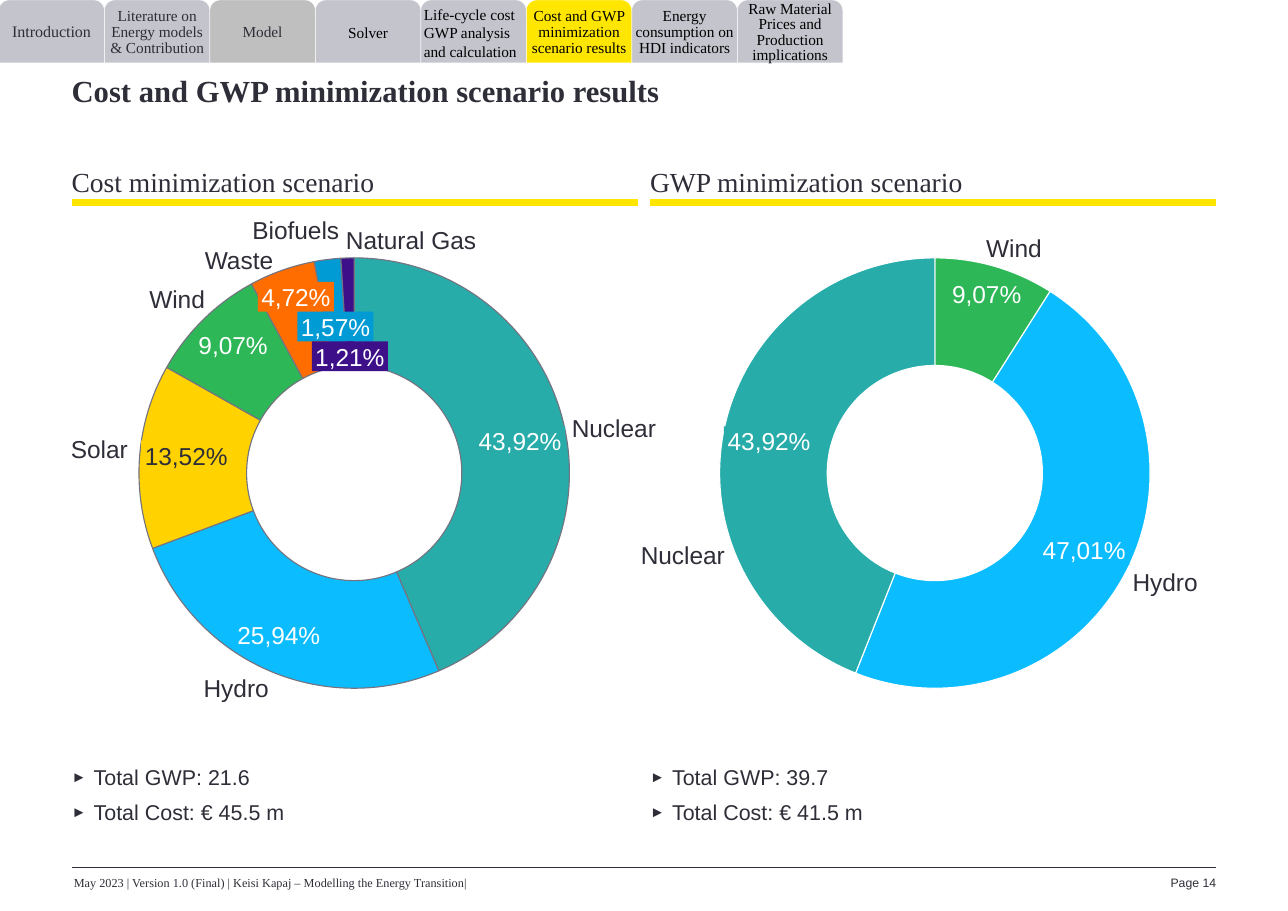
import pptx
import pptx.chart.data
import pptx.dml.color
import pptx.enum.chart
import pptx.enum.shapes
import pptx.enum.text
import pptx.oxml
import pptx.oxml.ns
import pptx.util

Inches, Pt = pptx.util.Inches, pptx.util.Pt
ALIGN = pptx.enum.text.PP_ALIGN
ANCHOR = pptx.enum.text.MSO_ANCHOR
SHAPE = pptx.enum.shapes.MSO_SHAPE

COLORS = {
    "ink": "2E2E38", "black": "000000", "white": "FFFFFF", "outline": "747480",
    "tab": "C4C4CD", "model": "BFBFBF", "yellow": "FFE600", "teal": "27ACAA",
    "sky": "0BBCFF", "gold": "FFD200", "green": "2DB757", "orange": "FF6D00",
    "blue": "009AD5", "purple": "3D108A",
}
SERIF, SANS = "Times New Roman", "Arial"

# Navigation tabs: text, fill, text colour, size, alignment, line spacing
TABS = [
    ("Introduction", "tab", "ink", 10.5, ALIGN.CENTER, 0.85),
    ("Literature on Energy models & Contribution", "tab", "ink", 10, ALIGN.CENTER, 0.85),
    ("Model", "model", "ink", 10, ALIGN.CENTER, 0.85),
    ("Solver", "tab", "black", 10, ALIGN.CENTER, 1.0),
    ("Life-cycle cost GWP analysis and calculation", "tab", "black", 10, ALIGN.LEFT, 1.0),
    ("Cost and GWP minimization scenario results", "yellow", "black", 10, ALIGN.CENTER, 0.85),
    ("Energy consumption on HDI indicators", "tab", "black", 10, ALIGN.CENTER, 0.85),
    ("Raw Material Prices and Production implications", "tab", "black", 10, ALIGN.CENTER, 0.85),
]
TABS_LEFT, TABS_RIGHT, TAB_HEIGHT = -0.01, 7.65, 0.57

# Slices: category number, name, percent, colour, name box (left, top, width),
# name alignment, percent box (left, top), percent box filled
SCENARIOS = [
    {
        "heading": "Cost minimization scenario", "left": 0.65, "chart_left": 1.18,
        "categories": 7, "hole": 65, "outline": "outline",
        "facts": ["Total GWP: 21.6", "Total Cost: € 45.5 m"],
        "slices": [
            (1, "Nuclear", 43.92, "teal", (5.19, 3.75, 0.8), ALIGN.LEFT, (4.31, 3.87), True),
            (2, "Hydro", 25.94, "sky", (1.81, 6.11, 0.63), ALIGN.RIGHT, (2.12, 5.63), False),
            (3, "Solar", 13.52, "gold", (0.61, 3.94, 0.55), ALIGN.RIGHT, (1.28, 4.0), True),
            (4, "Wind", 9.07, "green", (1.31, 2.58, 0.55), ALIGN.RIGHT, (1.77, 2.99), False),
            (5, "Waste", 4.72, "orange", (1.82, 2.22, 0.66), ALIGN.RIGHT, (2.34, 2.56), True),
            (6, "Biofuels", 1.57, "blue", (2.25, 1.95, 0.83), ALIGN.RIGHT, (2.7, 2.83), True),
            (7, "Natural Gas", 1.21, "purple", (3.14, 2.04, 1.23), ALIGN.LEFT, (2.83, 3.1), True),
        ],
    },
    {
        "heading": "GWP minimization scenario", "left": 5.9, "chart_left": 6.45,
        "categories": 8, "hole": 60, "outline": "white",
        "facts": ["Total GWP: 39.7", "Total Cost: € 41.5 m"],
        "slices": [
            (2, "Wind", 9.07, "green", (8.95, 2.11, 0.55), ALIGN.LEFT, (8.61, 2.53), False),
            (4, "Hydro", 47.01, "sky", (10.28, 5.15, 0.63), ALIGN.LEFT, (9.43, 4.86), True),
            (5, "Nuclear", 43.92, "teal", (5.78, 4.9, 0.8), ALIGN.RIGHT, (6.57, 3.87), True),
        ],
    },
]

deck = pptx.Presentation()
deck.slide_width, deck.slide_height = Inches(11.69), Inches(8.27)
page = deck.slides.add_slide(deck.slide_layouts[6])


def rgb(name):
    return pptx.dml.color.RGBColor.from_string(COLORS[name])


def write(box, lines, size, color="ink", font=SANS, bold=False, anchor=ANCHOR.TOP,
          wrap=True, side=0, **para_format):
    frame = box.text_frame
    frame_format = {"margin_left": Inches(side), "margin_right": Inches(side), "margin_top": 0,
                    "margin_bottom": 0, "word_wrap": wrap, "vertical_anchor": anchor}
    for key, value in frame_format.items():
        setattr(frame, key, value)
    for index, line in enumerate(lines):
        para = frame.add_paragraph() if index else frame.paragraphs[0]
        for key, value in para_format.items():
            setattr(para, key, value)
        span = para.add_run()
        span.text = line
        for key, value in {"name": font, "size": Pt(size), "bold": bold}.items():
            setattr(span.font, key, value)
        span.font.color.rgb = rgb(color)
    return frame


def add_text(area, lines, size, **text_format):
    box = page.shapes.add_textbox(*map(Inches, area))
    return write(box, lines, size, **text_format)


def add_block(kind, area, fill):
    block = page.shapes.add_shape(kind, *map(Inches, area))
    block.shadow.inherit = False
    block.fill.solid()
    block.fill.fore_color.rgb = rgb(fill)
    block.line.fill.background()
    return block


def add_rule(left, right, top, color, weight):
    rule = page.shapes.add_connector(pptx.enum.shapes.MSO_CONNECTOR.STRAIGHT,
                                     Inches(left), Inches(top), Inches(right), Inches(top))
    rule.line.color.rgb = rgb(color)
    rule.line.width = Pt(weight)
    rule._element.spPr.append(pptx.oxml.parse_xml(
        f'<a:effectLst {pptx.oxml.ns.nsdecls("a")}/>'))


def add_bullets(frame):
    for para in frame.paragraphs:
        properties = para._p.get_or_add_pPr()
        properties.set("marL", str(Inches(0.2)))
        properties.set("indent", str(Inches(-0.2)))
        for tag in (f'buClr {{}}><a:srgbClr val="{COLORS["ink"]}"/></a:buClr>',
                    'buSzPct {} val="70000"/>', 'buFont {} typeface="Arial"/>',
                    'buChar {} char="►"/>'):
            properties.append(pptx.oxml.parse_xml("<a:" + tag.format(pptx.oxml.ns.nsdecls("a"))))


def add_doughnut(scenario):
    numbers = range(1, scenario["categories"] + 1)
    shares = {entry[0]: round(entry[2]) for entry in scenario["slices"]}
    data = pptx.chart.data.CategoryChartData()
    data.categories = [str(number) for number in numbers]
    data.add_series("Series 1", [shares.get(number, 0) for number in numbers])
    area = (scenario["chart_left"], 2.26, 4.07, 4.07)
    chart = page.shapes.add_chart(pptx.enum.chart.XL_CHART_TYPE.DOUGHNUT,
                                  *map(Inches, area), data).chart
    chart.has_legend = chart.has_title = False
    chart.font.name, chart.font.size = SANS, Pt(10)
    chart.font.color.rgb = rgb("white")
    plot = chart.plots[0]
    plot.vary_by_categories = True
    for number, _, _, color, *_ in scenario["slices"]:
        wedge = plot.series[0].points[number - 1].format
        wedge.fill.solid()
        wedge.fill.fore_color.rgb = rgb(color)
        wedge.line.color.rgb = rgb(scenario["outline"])
        wedge.line.width = Pt(0.75)
    # Hole size and plot area
    plot._element.find(pptx.oxml.ns.qn("c:holeSize")).set("val", str(scenario["hole"]))
    plot_area = chart._chartSpace.chart.plotArea
    for old in plot_area.findall(pptx.oxml.ns.qn("c:layout")):
        plot_area.remove(old)
    place = "".join(f'<c:{key} val="{value}"/>' for key, value in (
        ("layoutTarget", "inner"), ("xMode", "edge"), ("yMode", "edge"),
        ("x", 0.02), ("y", 0.02), ("w", 0.96), ("h", 0.96)))
    plot_area.insert(0, pptx.oxml.parse_xml(
        f'<c:layout {pptx.oxml.ns.nsdecls("c")}><c:manualLayout>{place}'
        '</c:manualLayout></c:layout>'))


# Title
add_text((0.65, 0.65, 10.39, 0.67), ["Cost and GWP minimization scenario results"], 20,
         font=SERIF, bold=True)

# Scenario columns
for scenario in SCENARIOS:
    left = scenario["left"]
    add_rule(left, left + 5.14, 1.84, "yellow", 4.5)
    add_text((left, 1.5, 5.14, 0.28), [scenario["heading"]], 18, font=SERIF)
    add_doughnut(scenario)
    for _, name, share, color, name_area, align, share_at, filled in scenario["slices"]:
        add_text((*name_area, 0.27), [name], 16, anchor=ANCHOR.MIDDLE, wrap=False,
                 alignment=align)
        share_area = (*share_at, 0.82 if share >= 10 else 0.69, 0.27)
        box = (add_block(SHAPE.RECTANGLE, share_area, color) if filled
               else page.shapes.add_textbox(*map(Inches, share_area)))
        write(box, [f"{share:.2f}%".replace(".", ",")], 16,
              color="ink" if color == "gold" else "white", anchor=ANCHOR.MIDDLE,
              wrap=False, side=0.03, alignment=ALIGN.CENTER)
    add_bullets(add_text((left, 6.94, 4.24, 0.56), scenario["facts"], 14, space_after=Pt(6)))

# Navigation tabs
tab_width = (TABS_RIGHT - TABS_LEFT) / len(TABS)
for index, (label, fill, color, size, align, spacing) in enumerate(TABS):
    tab = add_block(SHAPE.ROUND_2_SAME_RECTANGLE,
                    (TABS_LEFT + index * tab_width, 0, tab_width, TAB_HEIGHT), fill)
    tab.line.color.rgb = rgb("white")
    tab.line.width = Pt(0.25)
    write(tab, [label], size, color=color, font=SERIF, anchor=ANCHOR.MIDDLE,
          alignment=align, line_spacing=spacing)

# Footer
add_rule(0.65, 11.04, 7.87, "ink", 0.5)
add_text((0.67, 7.95, 8.6, 0.12),
         ["May 2023 | Version 1.0 (Final) | Keisi Kapaj – Modelling the Energy Transition|"], 8,
         font=SERIF, anchor=ANCHOR.MIDDLE)
add_text((9.9, 7.95, 1.14, 0.12), ["Page 14"], 8, anchor=ANCHOR.MIDDLE, alignment=ALIGN.RIGHT)

deck.save("out.pptx")
